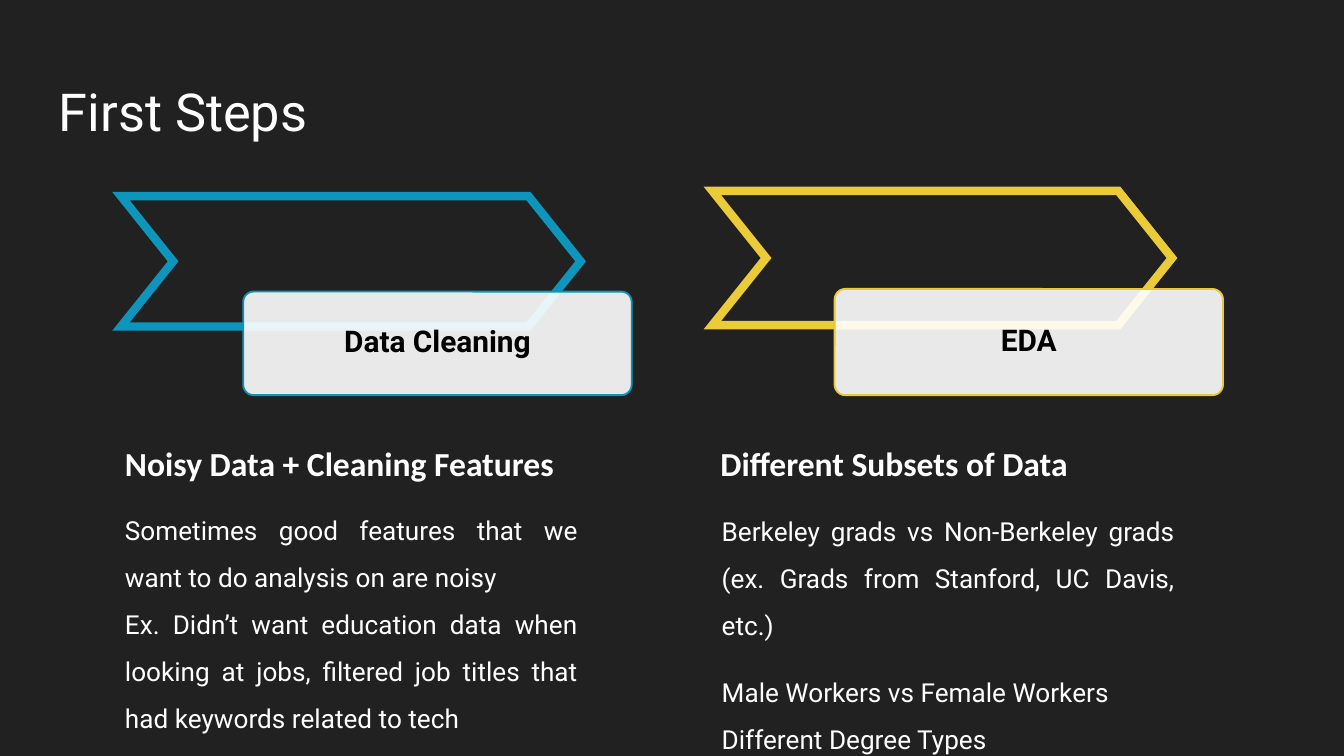
from lxml.etree import SubElement
from pptx import Presentation
from pptx.dml.color import RGBColor
from pptx.enum.shapes import MSO_SHAPE as SHAPE
from pptx.enum.text import MSO_ANCHOR as ANCHOR, PP_ALIGN as ALIGN
from pptx.oxml.ns import qn
from pptx.util import Inches, Pt

BACKGROUND = RGBColor(0x21, 0x21, 0x21)
WHITE = RGBColor(0xFF, 0xFF, 0xFF)
BLACK = RGBColor(0, 0, 0)
BLUE = RGBColor(0x0D, 0x95, 0xBC)
BLUE_EDGE = RGBColor(0x0A, 0x95, 0xBC)
YELLOW = RGBColor(0xEB, 0xCB, 0x38)
YELLOW_EDGE = RGBColor(0xEA, 0xC9, 0x36)


class StepSlide:
    body_font = "Roboto"
    heading_font = "Calibri"

    def __init__(self, prs):
        self.s = prs.slides.add_slide(prs.slide_layouts[6])
        fill = self.s.background.fill
        fill.solid()
        fill.fore_color.rgb = BACKGROUND

    def text(self, box, paragraphs, size, font=body_font, color=WHITE, bold=False,
             align=ALIGN.LEFT, anchor=ANCHOR.TOP, spacing=1.0, insets=(0, 0.05, 0, 0.05)):
        """Add a text box; paragraphs are (text, points of space before)."""
        tf = self.s.shapes.add_textbox(*map(Inches, box)).text_frame
        tf.word_wrap = True
        tf.vertical_anchor = anchor
        tf.margin_left, tf.margin_top, tf.margin_right, tf.margin_bottom = map(Inches, insets)
        for i, (words, before) in enumerate(paragraphs):
            p = tf.add_paragraph() if i else tf.paragraphs[0]
            p.text = words
            p.alignment = align
            p.line_spacing = spacing
            p.space_before = Pt(before)
            p.font.name = font
            p.font.size = Pt(size)
            p.font.bold = bold
            p.font.color.rgb = color

    def outline(self, kind, box, adjustment, color, width):
        sp = self.s.shapes.add_shape(kind, *map(Inches, box))
        sp.shadow.inherit = False
        sp.adjustments[0] = adjustment
        sp.fill.background()
        sp.line.color.rgb = color
        sp.line.width = Pt(width)
        return sp

    def chevron(self, box, color):
        """Add an unfilled chevron with sharp corners."""
        sp = self.outline(SHAPE.CHEVRON, box, 0.4, color, 4.5)
        SubElement(sp._element.spPr.find(qn("a:ln")), qn("a:miter"), lim="800000")

    def label(self, box, words, edge):
        """Add a rounded, slightly see-through card with a centred caption."""
        sp = self.outline(SHAPE.ROUNDED_RECTANGLE, box, 0.1, edge, 1)
        sp.fill.solid()
        sp.fill.fore_color.rgb = WHITE
        rgb = sp._element.spPr.find(qn("a:solidFill")).find(qn("a:srgbClr"))
        SubElement(rgb, qn("a:alpha"), val="90000")
        x, y, w, h = box
        self.text((x + 0.04, y + 0.02, w - 0.08, h - 0.05), [(words, 0)], 16,
                  color=BLACK, bold=True, align=ALIGN.CENTER, anchor=ANCHOR.MIDDLE,
                  spacing=0.9, insets=(0.16,) * 4)

    def heading(self, box, words):
        self.text(box, [(words, 0)], 18, font=self.heading_font, bold=True,
                  anchor=ANCHOR.MIDDLE, insets=(0, 0.05, 0.1, 0.05))

    def body(self, box, paragraphs):
        self.text(box, paragraphs, 14, align=ALIGN.JUSTIFY, spacing=1.5)


def main():
    prs = Presentation()
    prs.slide_width, prs.slide_height = Inches(10), Inches(10 * 9 / 16)
    slide = StepSlide(prs)
    slide.text((0.34, 0.49, 9.32, 0.63), [("First Steps", 0)], 28, insets=(0.1,) * 4)

    slide.chevron((0.9, 1.46, 3.42, 0.97), BLUE)
    slide.label((1.81, 2.17, 2.89, 0.77), "Data Cleaning", BLUE_EDGE)
    slide.chevron((5.3, 1.42, 3.42, 1), YELLOW)
    slide.label((6.21, 2.15, 2.89, 0.79), "EDA", YELLOW_EDGE)

    slide.heading((0.93, 3.22, 3.38, 0.45), "Noisy Data + Cleaning Features")
    slide.body((0.93, 3.66, 3.37, 1.34), [
        ("Sometimes good features that we want to do analysis on are noisy", 0),
        ("Ex. Didn’t want education data when looking at jobs, "
         "filtered job titles that had keywords related to tech", 0),
    ])
    slide.heading((5.36, 3.22, 3.98, 0.45), "Different Subsets of Data")
    slide.body((5.37, 3.67, 3.37, 1.38), [
        ("Berkeley grads vs Non-Berkeley grads (ex. Grads from Stanford, UC Davis, etc.)", 0),
        ("Male Workers vs Female Workers", 10.5),
        ("Different Degree Types", 0),
    ])
    prs.save("out.pptx")


if __name__ == "__main__":
    main()
